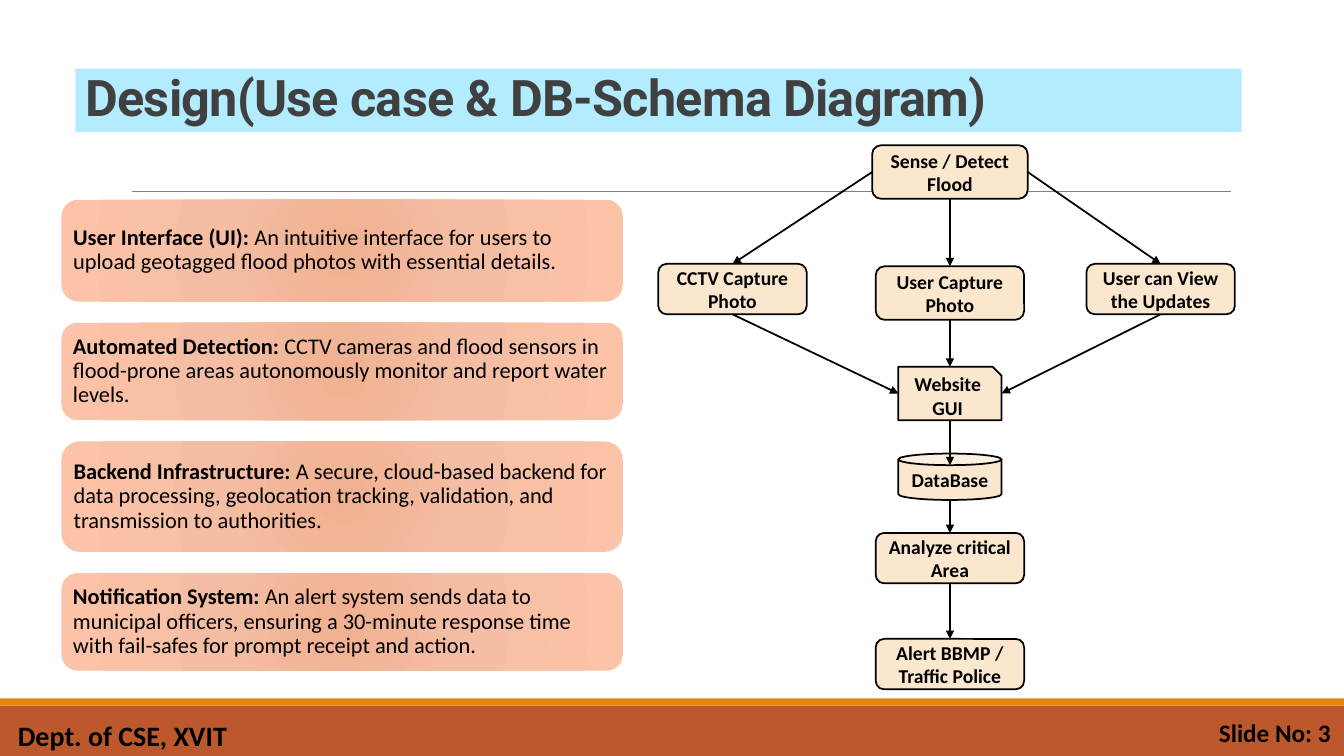
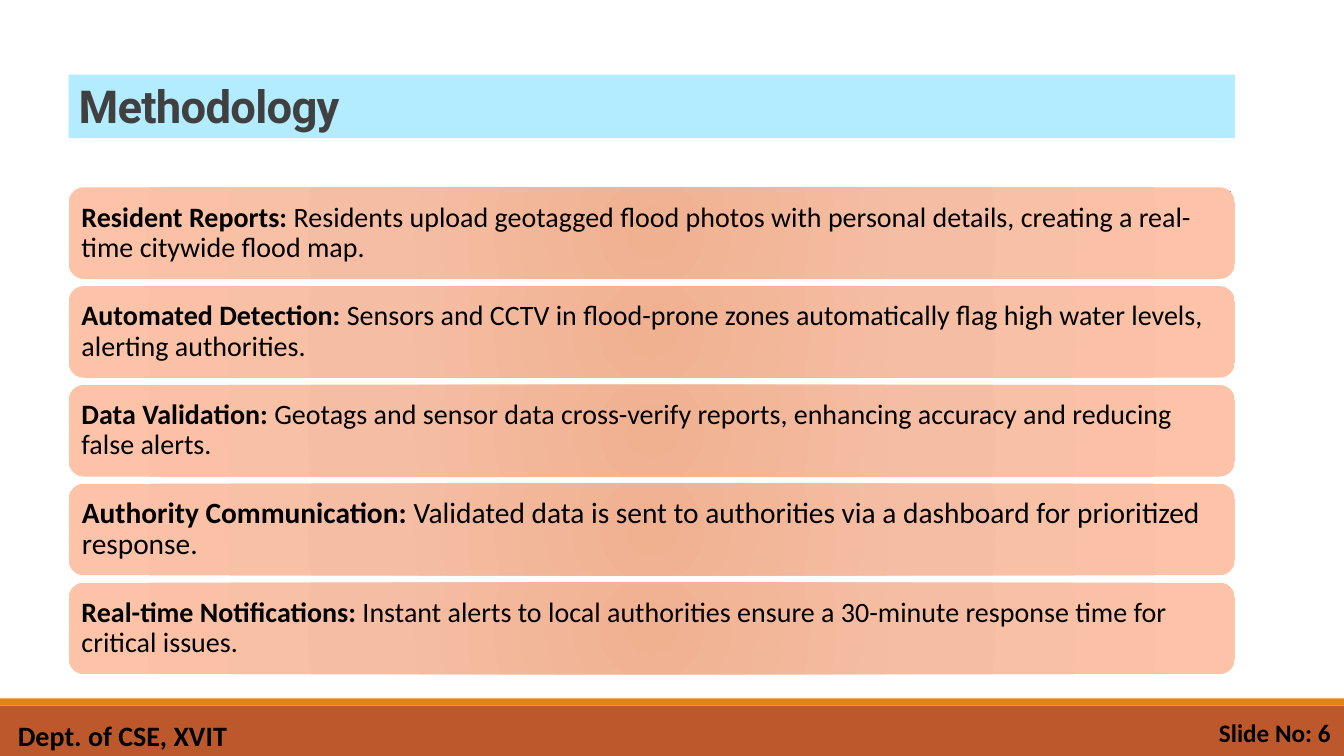
from lxml import etree
from pptx import Presentation
from pptx.dml.color import RGBColor as RGB
from pptx.enum.shapes import MSO_CONNECTOR as Conn, MSO_SHAPE as Kind
from pptx.enum.text import MSO_ANCHOR as Anchor, PP_ALIGN as Align
from pptx.oxml import parse_xml
from pptx.oxml.ns import nsdecls, qn
from pptx.util import Cm, Pt

BLACK = RGB(0, 0, 0)
DARK = RGB(0x40, 0x40, 0x40)
GRAY = RGB(0x80, 0x80, 0x80)
SKY = RGB(0xB4, 0xEC, 0xFF)
RUST = RGB(0xBD, 0x58, 0x2C)
ORANGE = RGB(0xE4, 0x83, 0x12)
CREAM = RGB(0xFB, 0xE6, 0xCE)
GLOW = [(0, RGB(0xF0, 0xB1, 0x91)), (45, RGB(0xF5, 0xBE, 0xA4)),
        (100, RGB(0xFD, 0xC3, 0xA8))]

WIDE, HIGH = 33.87, 19.05
DEPT = "Dept. of CSE, XVIT"
ROUND, SNIP, CAN = Kind.ROUNDED_RECTANGLE, Kind.SNIP_1_RECTANGLE, Kind.CAN
TOP, LEFT, BASE, RIGHT = range(4)

# Content: cards are (heading, text, height, font size); lengths in cm
DESIGN = [
    ("User Interface (UI):", " An intuitive interface for users to upload "
     "geotagged flood photos with essential details.", 2.57, 16),
    ("Automated Detection:", " CCTV cameras and flood sensors in flood-prone "
     "areas autonomously monitor and report water levels.", 2.46, 16),
    ("Backend Infrastructure:", " A secure, cloud-based backend for data "
     "processing, geolocation tracking, validation, and transmission to "
     "authorities.", 2.79, 16),
    ("Notification System:", " An alert system sends data to municipal "
     "officers, ensuring a 30-minute response time with fail-safes for prompt "
     "receipt and action.", 2.46, 16),
]
METHOD = [
    ("Resident Reports:", " Residents upload geotagged flood photos with "
     "personal details, creating a real-time citywide flood map.", 2.31, 20),
    ("Automated Detection:", " Sensors and CCTV in flood-prone zones "
     "automatically flag high water levels, alerting authorities.", 2.31, 20),
    ("Data Validation:", " Geotags and sensor data cross-verify reports, "
     "enhancing accuracy and reducing false alerts.", 2.31, 20),
    ("Authority Communication:", " Validated data is sent to authorities via "
     "a dashboard for prioritized response.", 2.31, 21),
    ("Real-time Notifications:", " Instant alerts to local authorities ensure "
     "a 30-minute response time for critical issues.", 2.31, 20),
]
# Flow chart: key -> (text, shape, centre x, top, width, height)
WEST, MID, EAST = 18.46, 23.94, 29.25
NODES = {
    "sense": ("Sense / Detect Flood", ROUND, MID, 3.66, 3.92, 1.35),
    "user": ("User Capture Photo", ROUND, MID, 6.71, 3.74, 1.35),
    "cctv": ("CCTV Capture Photo", ROUND, WEST, 6.65, 3.74, 1.27),
    "view": ("User can View the Updates", ROUND, EAST, 6.65, 3.74, 1.27),
    "web": ("Website GUI", SNIP, MID, 9.24, 2.6, 1.35),
    "data": ("DataBase", CAN, MID, 11.43, 2.6, 1.17),
    "area": ("Analyze critical Area", ROUND, MID, 13.43, 3.74, 1.27),
    "alert": ("Alert BBMP / Traffic Police", ROUND, MID, 16.1, 3.74, 1.27),
}
ARROWS = [
    ("sense", BASE, "user", TOP), ("cctv", BASE, "web", LEFT),
    ("user", BASE, "web", TOP), ("sense", LEFT, "cctv", TOP),
    ("sense", RIGHT, "view", TOP), ("view", BASE, "web", RIGHT),
    ("web", BASE, "data", TOP), ("data", BASE, "area", TOP),
    ("area", BASE, "alert", TOP),
]
CAN_LIP, CAN_BASE = 0.29, 3  # depth of the front rim, site at the bottom


def add_run(para, text, size, bold=True, color=BLACK, face="Calibri"):
    run = para.add_run()
    run.text = text
    font = run.font
    font.name, font.size, font.bold = face, Pt(size), bold
    font.color.rgb = color
    return run


def add_box(slide, kind, x, y, w, h, fill=None, edge=None):
    box = slide.shapes.add_shape(kind, Cm(x), Cm(y), Cm(w), Cm(h))
    box.shadow.inherit = False
    if fill is not None:
        box.fill.solid()
        box.fill.fore_color.rgb = fill
    if edge is None:
        box.line.fill.background()
    else:
        box.line.color.rgb, box.line.width = edge, Pt(1.25)
    return box


def add_line(slide, color, width, ends=(0, 0, 0, 0)):
    line = slide.shapes.add_connector(Conn.STRAIGHT, *map(Cm, ends))
    line.line.color.rgb, line.line.width = color, Pt(width)
    etree.SubElement(line._element.spPr, qn("a:effectLst"))
    return line


def add_label(slide, text, size, x, y, w, h):
    label = slide.shapes.add_textbox(Cm(x), Cm(y), Cm(w), Cm(h))
    label.text_frame.word_wrap = True
    add_run(label.text_frame.paragraphs[0], text, size)


def add_page(deck, title, size, x, y, number):
    slide = deck.slides.add_slide(deck.slide_layouts[6])
    # Bands, rule and footer
    add_box(slide, Kind.RECTANGLE, 0, 17.78, WIDE, 1.27, RUST)
    add_box(slide, Kind.RECTANGLE, 0, 17.6, WIDE, 0.18, ORANGE)
    add_line(slide, GRAY, 0.5, (3.33, 4.83, 31.01, 4.83))
    add_label(slide, DEPT, 20, 0.2, 17.98, 7.62, 1.07)
    add_label(slide, f"Slide No: {number}", 18, 30.47, 17.96, 3.4, 1.02)
    # Title bar
    bar = add_box(slide, Kind.RECTANGLE, x, y, 29.39, 1.6, SKY)
    frame = bar.text_frame
    frame.vertical_anchor = Anchor.BOTTOM
    para = frame.paragraphs[0]
    para.alignment, para.line_spacing = Align.LEFT, 0.85
    run = add_run(para, title, size, color=DARK, face="Roboto")
    run.font._element.set("spc", "-50")
    return slide


def add_glow(box):
    stops = "".join(f'<a:gs pos="{at * 1000}"><a:srgbClr val="{color}"/></a:gs>'
                    for at, color in GLOW)
    sides = " ".join(f'{side}="100000"' for side in "ltrb")
    box._element.spPr.find(qn("a:prstGeom")).addnext(parse_xml(
        f'<a:gradFill {nsdecls("a")} rotWithShape="1"><a:gsLst>{stops}</a:gsLst>'
        f'<a:path path="circle"><a:fillToRect {sides}/></a:path></a:gradFill>'))


def add_cards(slide, cards, x, y, w, gap):
    for head, text, high, size in cards:
        card = add_box(slide, ROUND, x, y, w, high)
        add_glow(card)
        frame = card.text_frame
        frame.vertical_anchor = Anchor.MIDDLE
        inset = Cm(size * 0.0106)
        frame.margin_left = frame.margin_right = inset
        frame.margin_top = frame.margin_bottom = inset
        para = frame.paragraphs[0]
        para.alignment, para.line_spacing = Align.LEFT, 0.9
        add_run(para, head, size)
        add_run(para, text, size, bold=False)
        y += high + gap


def add_flow(slide):
    boxes = {}
    for key, (text, kind, mid, y, w, h) in NODES.items():
        box = add_box(slide, kind, mid - w / 2, y, w, h, CREAM, BLACK)
        box.text_frame.vertical_anchor = Anchor.MIDDLE
        para = box.text_frame.paragraphs[0]
        para.alignment = Align.CENTER
        add_run(para, text, 14)
        boxes[key] = box
    for start, out, end, into in ARROWS:
        line = add_line(slide, BLACK, 1.25)
        first, last = boxes[start], boxes[end]
        # A can numbers its connection sites in its own way
        if NODES[start][1] == CAN:
            line.begin_connect(first, CAN_BASE)
            line.begin_x = first.left + first.width // 2
            line.begin_y = first.top + first.height
        else:
            line.begin_connect(first, out)
        line.end_connect(last, into)
        if NODES[end][1] == CAN:
            line.end_y = last.top + Cm(CAN_LIP)
        etree.SubElement(line.line._get_or_add_ln(), qn("a:tailEnd"),
                         type="triangle")


def main():
    deck = Presentation()
    deck.slide_width, deck.slide_height = Cm(WIDE), Cm(HIGH)

    slide = add_page(deck, "Design(Use case & DB-Schema Diagram)", 36,
                     1.9, 1.73, 3)
    add_cards(slide, DESIGN, 1.55, 5.03, 14.15, 0.53)
    add_flow(slide)

    slide = add_page(deck, "Methodology", 32.4, 1.73, 1.88, 6)
    add_cards(slide, METHOD, 1.73, 4.72, 29.39, 0.18)
    deck.save("out.pptx")


if __name__ == "__main__":
    main()
